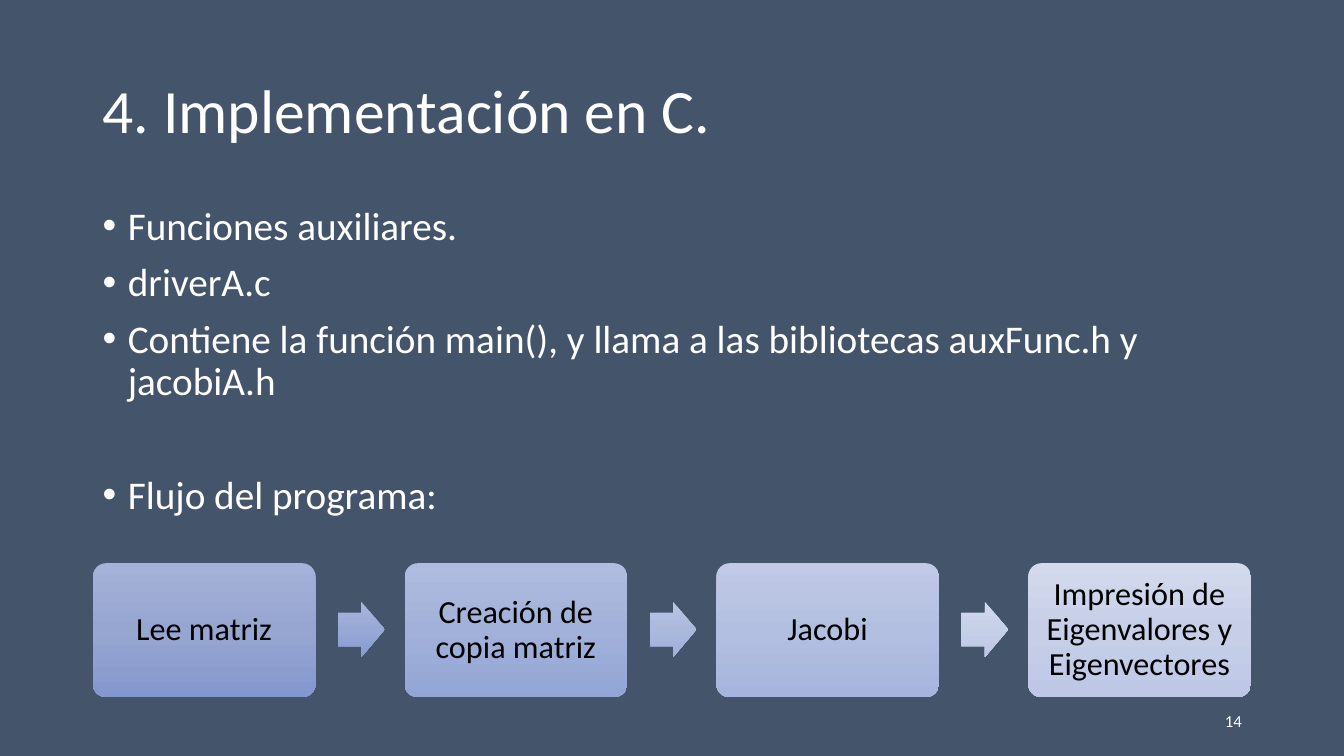
import copy
import pptx
import pptx.util
import pptx.dml.color
import pptx.enum.shapes
import pptx.enum.text
import pptx.oxml.ns
import lxml.etree

WIDE = pptx.util.Inches(13.333)
HIGH = pptx.util.Inches(7.5)
COL = WIDE / 100
ROW = HIGH / 100
LEFT = 6.9
SPAN = 86.25
STEP = 23.2
KIND = pptx.enum.shapes.MSO_SHAPE
ALIGN = pptx.enum.text.PP_ALIGN
ANCHOR = pptx.enum.text.MSO_ANCHOR

POINTS = [
    ("Funciones auxiliares.", 10),
    ("driverA.c", 10),
    ("Contiene la función main(), y llama a las bibliotecas auxFunc.h y jacobiA.h", 10),
    ("Flujo del programa:", 50.8),
]
CARDS = [
    ("Lee matriz", ["A4B2D9", "97A6D1", "8497CE"]),
    ("Creación de copia matriz", ["B0BCDF", "A2B1D9", "92A5D6"]),
    ("Jacobi", ["C0CAE6", "B3BFE0", "A6B5DE"]),
    ("Impresión de Eigenvalores y Eigenvectores", ["D3DAED", "C7CFE8", "BEC8E6"]),
]
ARROWS = [
    ["A7B5DB", "99A9D5", "869BD2"],
    ["B9C5E3", "ACB9DD", "9EAFDB"],
    ["D3DAED", "C6CFE8", "BEC8E6"],
]


def color(code):
    return pptx.dml.color.RGBColor.from_string(code)


def place(col, row, cols, rows):
    return round(col * COL), round(row * ROW), round(cols * COL), round(rows * ROW)


def style(para, size, code, align=ALIGN.LEFT, line=0.9):
    para.alignment = align
    para.line_spacing = line
    for run in para.runs:
        run.font.name = "Calibri"
        run.font.size = pptx.util.Pt(size)
        run.font.color.rgb = color(code)


def add_text(slide, spot, text, anchor):
    frame = slide.shapes.add_textbox(*place(*spot)).text_frame
    frame.word_wrap = True
    frame.vertical_anchor = anchor
    frame.text = text
    return frame


def add_dot(para):
    props = para._p.get_or_add_pPr()
    inset = pptx.util.Inches(0.25)
    props.set("marL", str(inset))
    props.set("indent", str(-inset))
    font = lxml.etree.SubElement(props, pptx.oxml.ns.qn("a:buFont"))
    font.set("typeface", "Arial")
    dot = lxml.etree.SubElement(props, pptx.oxml.ns.qn("a:buChar"))
    dot.set("char", "•")


def add_list(slide, spot, points):
    text = "\n".join(point for point, gap in points)
    frame = add_text(slide, spot, text, ANCHOR.TOP)
    for para, (point, gap) in zip(frame.paragraphs, points):
        style(para, 28, "FFFFFF")
        para.space_before = pptx.util.Pt(gap)
        add_dot(para)


def shade(shape, codes):
    fill = shape.fill
    fill.gradient()
    fill.gradient_angle = 270
    stops = shape._element.spPr.find(".//" + pptx.oxml.ns.qn("a:gsLst"))
    stops.insert(1, copy.deepcopy(stops[0]))
    for stop, code, part in zip(fill.gradient_stops, codes, (0, 0.5, 1)):
        stop.color.rgb = color(code)
        stop.position = part


def add_block(slide, kind, spot, bends, codes):
    shape = slide.shapes.add_shape(kind, *place(*spot))
    shape.shadow.inherit = False
    shape.line.fill.background()
    for index, bend in enumerate(bends):
        shape.adjustments[index] = bend
    shade(shape, codes)
    return shape


def add_card(slide, index, text, codes):
    spot = (LEFT + index * STEP, 74.5, 16.58, 17.73)
    shape = add_block(slide, KIND.ROUNDED_RECTANGLE, spot, [0.1], codes)
    frame = shape.text_frame
    frame.word_wrap = True
    frame.vertical_anchor = ANCHOR.MIDDLE
    inset = pptx.util.Inches(0.1)
    frame.margin_left = frame.margin_right = inset
    frame.margin_top = frame.margin_bottom = inset
    frame.text = text
    style(frame.paragraphs[0], 23, "000000", ALIGN.CENTER)


def add_arrow(slide, index, codes):
    spot = (LEFT + index * STEP + 18.23, 79.6, 3.5, 7.33)
    add_block(slide, KIND.RIGHT_ARROW, spot, [0.6, 0.5], codes)


def main():
    deck = pptx.Presentation()
    deck.slide_width = WIDE
    deck.slide_height = HIGH
    slide = deck.slides.add_slide(deck.slide_layouts[6])
    slide.background.fill.solid()
    slide.background.fill.fore_color.rgb = color("44546A")

    title = add_text(slide, (LEFT, 5.33, SPAN, 19.33), "4. Implementación en C.", ANCHOR.MIDDLE)
    style(title.paragraphs[0], 44, "FFFFFF")
    add_list(slide, (LEFT, 26.67, SPAN, 63.47), POINTS)
    number = add_text(slide, (70.65, 92.67, 22.5, 5.33), "14", ANCHOR.MIDDLE)
    style(number.paragraphs[0], 12, "FFFFFF", ALIGN.RIGHT, 1.0)

    for index, (text, codes) in enumerate(CARDS):
        add_card(slide, index, text, codes)
    for index, codes in enumerate(ARROWS):
        add_arrow(slide, index, codes)
    deck.save("out.pptx")


if __name__ == "__main__":
    main()
